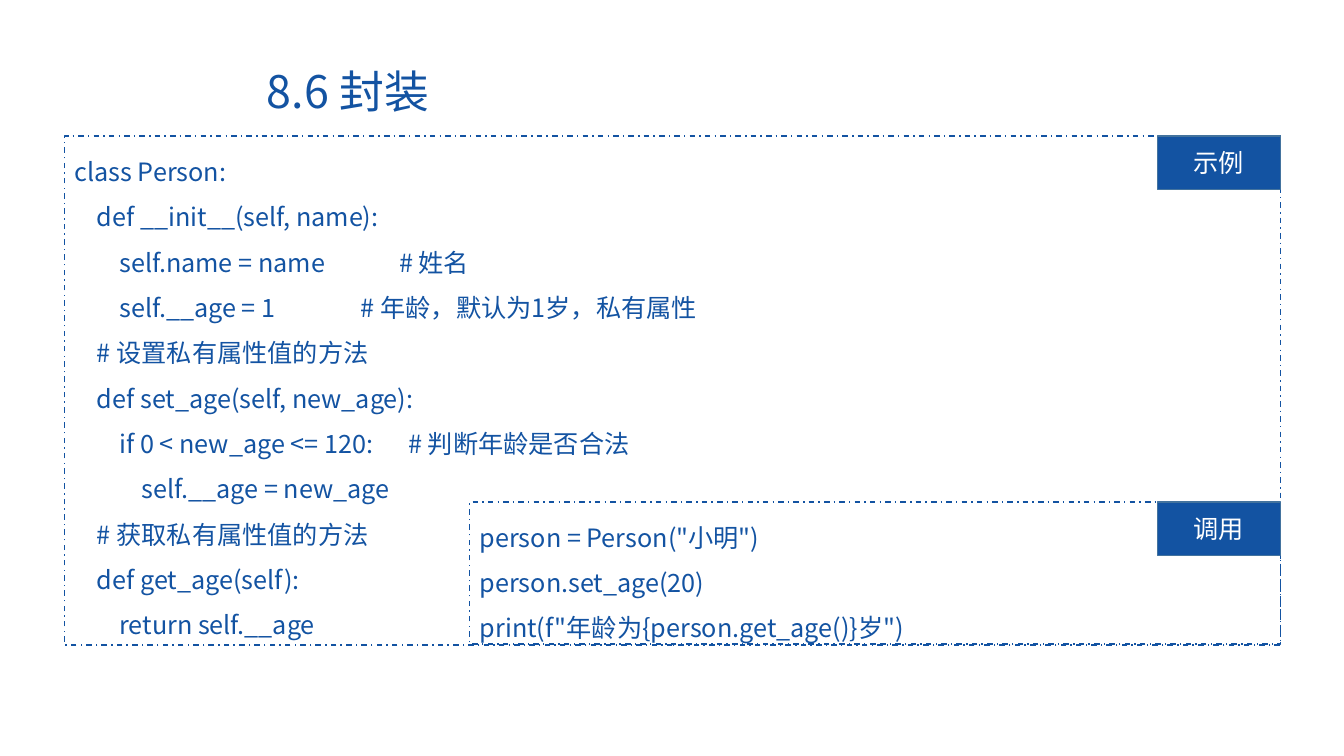
from lxml import etree
from pptx import Presentation
from pptx.dml.color import RGBColor
from pptx.enum.dml import MSO_LINE
from pptx.enum.shapes import MSO_SHAPE
from pptx.enum.text import MSO_ANCHOR, PP_ALIGN
from pptx.oxml.ns import qn
from pptx.util import Inches, Pt

RECTANGLE = MSO_SHAPE.RECTANGLE
DASH_DOT = MSO_LINE.DASH_DOT
TOP, MIDDLE = MSO_ANCHOR.TOP, MSO_ANCHOR.MIDDLE
LEFT, CENTER = PP_ALIGN.LEFT, PP_ALIGN.CENTER

FONT = "Noto Sans CJK SC"
COLORS = {"blue": "1353A2", "label_edge": "43739E", "white": "FFFFFF"}
INDENT = 0.223  # width of one code level
LABEL_WIDTH, LABEL_HEIGHT = 1.22, 0.53

# Each line: level, code, then optionally a comment and its tab position
CLASS_CODE = [
    (0, "class Person:"),
    (1, "def __init__(self, name):"),
    (2, "self.name = name", "# 姓名", 3.22),
    (2, "self.__age = 1", "# 年龄，默认为1岁，私有属性", 2.84),
    (1, "# 设置私有属性值的方法"),
    (1, "def set_age(self, new_age):"),
    (2, "if 0 < new_age <= 120:", "# 判断年龄是否合法", 3.31),
    (3, "self.__age = new_age"),
    (1, "# 获取私有属性值的方法"),
    (1, "def get_age(self):"),
    (2, "return self.__age"),
]
CALL_CODE = [
    (0, 'person = Person("小明")'),
    (0, "person.set_age(20)"),
    (0, 'print(f"年龄为{person.get_age()}岁")'),
]


def color(name):
    return RGBColor.from_string(COLORS[name])


def add_span(para, text, size, color_name):
    span = para.add_run()
    span.text = text
    span.font.size = Pt(size)
    span.font.color.rgb = color(color_name)
    span.font.name = FONT
    properties = span.font._element
    etree.SubElement(properties, qn("a:ea")).set("typeface", FONT)


def set_tabs(para, positions):
    """Give the paragraph left tab stops, in inches from the text edge."""
    tabs = etree.SubElement(para._p.get_or_add_pPr(), qn("a:tabLst"))
    for position in positions:
        tab = etree.SubElement(tabs, qn("a:tab"))
        tab.set("pos", str(int(Inches(position))))
        tab.set("algn", "l")


def add_title(page, left, top, width, height, text):
    box = page.shapes.add_textbox(Inches(left), Inches(top), Inches(width), Inches(height))
    frame = box.text_frame
    frame.word_wrap = True
    frame.vertical_anchor = MIDDLE
    para = frame.paragraphs[0]
    para.line_spacing = 0.9
    add_span(para, text, 32, "blue")


def add_rectangle(group, left, top, width, height, edge):
    box = group.shapes.add_shape(
        RECTANGLE, Inches(left), Inches(top), Inches(width), Inches(height))
    box.shadow.inherit = False
    box.line.color.rgb = color(edge)
    box.line.width = Pt(1)
    box.text_frame.word_wrap = True
    return box


def write_code(frame, lines):
    frame.vertical_anchor = TOP
    for number, (level, code, *comment) in enumerate(lines):
        para = frame.add_paragraph() if number else frame.paragraphs[0]
        para.alignment = LEFT
        para.line_spacing = 1.5
        stops = [level * INDENT] if level else []
        text = "\t" + code if level else code
        if comment:
            note, position = comment
            stops.append(position)
            text += "\t" + note
        if stops:
            set_tabs(para, stops)
        add_span(para, text, 18, "blue")


def add_code_panel(page, left, top, width, height, label, lines):
    """Dashed code box with a filled label in its top right corner."""
    group = page.shapes.add_group_shape()
    panel = add_rectangle(group, left, top, width, height, "blue")
    panel.fill.background()
    panel.line.dash_style = DASH_DOT
    write_code(panel.text_frame, lines)

    tag = add_rectangle(
        group, left + width - LABEL_WIDTH, top, LABEL_WIDTH, LABEL_HEIGHT, "label_edge")
    tag.fill.solid()
    tag.fill.fore_color.rgb = color("blue")
    tag.text_frame.vertical_anchor = MIDDLE
    para = tag.text_frame.paragraphs[0]
    para.alignment = CENTER
    add_span(para, label, 18, "white")


def main():
    deck = Presentation()
    deck.slide_width, deck.slide_height = Inches(13.33), Inches(7.5)
    page = deck.slides.add_slide(deck.slide_layouts[6])
    add_title(page, 2.55, 0.64, 9.14, 0.59, "8.6 封装")
    add_code_panel(page, 0.64, 1.35, 12.06, 5.05, "示例", CLASS_CODE)
    add_code_panel(page, 4.66, 4.98, 8.04, 1.41, "调用", CALL_CODE)
    deck.save("out.pptx")


if __name__ == "__main__":
    main()
